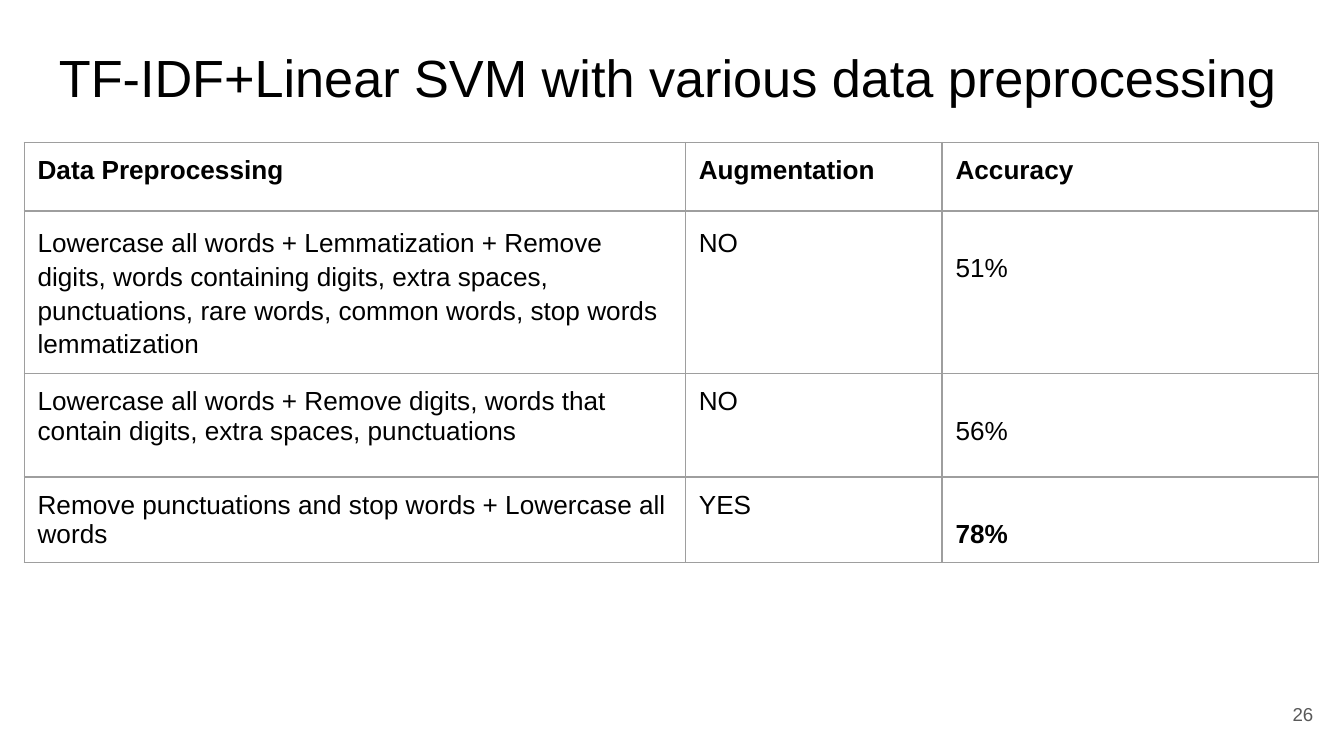
"""Build a slide comparing the accuracy of data preprocessing variants."""
import pptx
import pptx.dml.color
import pptx.enum.text
import pptx.oxml
import pptx.oxml.ns
import pptx.util
from pptx.util import Inches

COLORS = {"text": "000000", "number": "595959", "border": "9E9E9E"}
FONT = "Arial"
INSET = 0.1
TEXT_LINE = 0.22
COLUMN_WIDTHS = [4.92, 1.91, 2.8]
ROW_HEIGHTS = [0.51, 1.21, 0.77, 0.63]
RESULTS = [
    ("Data Preprocessing", "Augmentation", "Accuracy"),
    ("Lowercase all words + Lemmatization + Remove digits, words containing digits, "
     "extra spaces, punctuations, rare words, common words, stop words lemmatization",
     "NO", "51%"),
    ("Lowercase all words + Remove digits, words that contain digits, "
     "extra spaces, punctuations", "NO", "56%"),
    ("Remove punctuations and stop words + Lowercase all words", "YES", "78%"),
]


def format_text(paragraph, size, color, bold=False):
    for run in paragraph.runs:
        run.font.name = FONT
        run.font.size = pptx.util.Pt(size)
        run.font.bold = bold
        run.font.color.rgb = pptx.dml.color.RGBColor.from_string(COLORS[color])


def set_insets(area, top=INSET):
    area.margin_left = area.margin_right = area.margin_bottom = Inches(INSET)
    area.margin_top = Inches(top)


def add_label(slide, text, bounds, size, color):
    label = slide.shapes.add_textbox(*map(Inches, bounds))
    frame = label.text_frame
    frame.word_wrap = True
    set_insets(frame)
    frame.text = text
    format_text(frame.paragraphs[0], size, color)
    return frame


def add_borders(cell):
    properties = cell._tc.get_or_add_tcPr()
    for position, side in enumerate(("lnL", "lnR", "lnT", "lnB")):
        border = pptx.oxml.parse_xml(
            f'<a:{side} {pptx.oxml.ns.nsdecls("a")} w="{pptx.util.Pt(0.75)}">'
            f'<a:solidFill><a:srgbClr val="{COLORS["border"]}"/></a:solidFill>'
            f'</a:{side}>')
        properties.insert(position, border)


def fill_cell(cell, text, row, column):
    is_score = row > 0 and column == 2
    is_best = is_score and row == len(RESULTS) - 1
    cell.fill.background()
    set_insets(cell, INSET + TEXT_LINE if is_score else INSET)
    cell.text = text
    paragraph = cell.text_frame.paragraphs[0]
    if row == 1 and not is_score:
        paragraph.line_spacing = 1.15
    format_text(paragraph, 14, "text", bold=row == 0 or is_best)
    add_borders(cell)


def add_results(slide):
    results = slide.shapes.add_table(
        len(ROW_HEIGHTS), len(COLUMN_WIDTHS), Inches(0.18), Inches(1.06),
        Inches(sum(COLUMN_WIDTHS)), Inches(sum(ROW_HEIGHTS))).table
    results.first_row = results.horz_banding = False
    for column, width in zip(results.columns, COLUMN_WIDTHS):
        column.width = Inches(width)
    for row, height in zip(results.rows, ROW_HEIGHTS):
        row.height = Inches(height)
    for row, entries in enumerate(RESULTS):
        for column, text in enumerate(entries):
            fill_cell(results.cell(row, column), text, row, column)


def main():
    deck = pptx.Presentation()
    deck.slide_width = Inches(10)
    deck.slide_height = deck.slide_width * 9 // 16
    slide = deck.slides.add_slide(deck.slide_layouts[6])
    add_results(slide)
    add_label(slide, "TF-IDF+Linear SVM with various data preprocessing",
              (0.34, 0.24, 9.32, 0.63), 28, "text")
    page_number = add_label(slide, "26", (9.27, 5.1, 0.6, 0.43), 10, "number")
    page_number.vertical_anchor = pptx.enum.text.MSO_ANCHOR.MIDDLE
    page_number.paragraphs[0].alignment = pptx.enum.text.PP_ALIGN.RIGHT
    deck.save("out.pptx")


if __name__ == "__main__":
    main()
